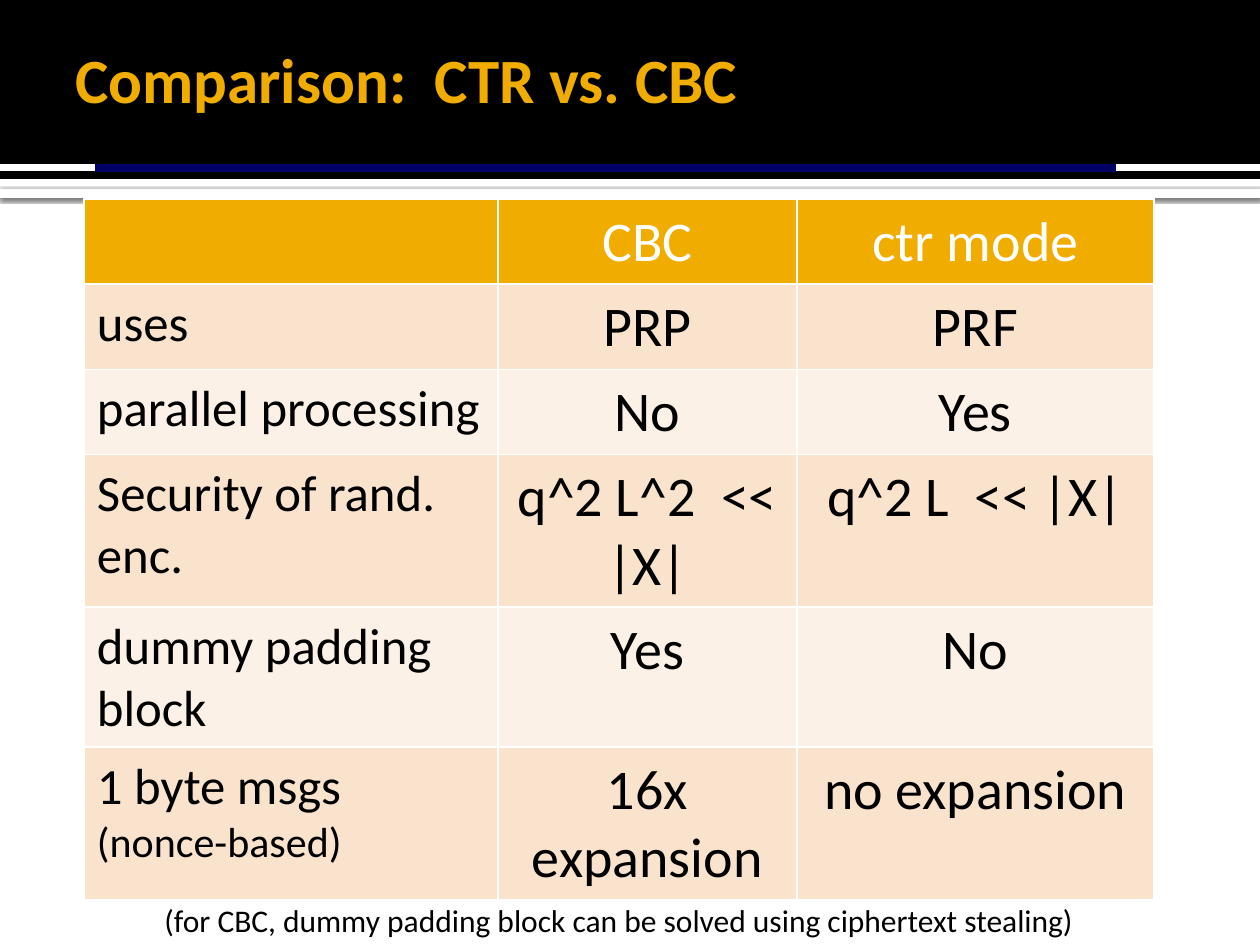
from lxml import etree
from pptx import Presentation
from pptx.dml.color import RGBColor
from pptx.enum.shapes import MSO_CONNECTOR, MSO_SHAPE
from pptx.enum.text import MSO_ANCHOR, MSO_AUTO_SIZE, PP_ALIGN
from pptx.oxml import parse_xml
from pptx.oxml.ns import nsdecls, qn
from pptx.util import Inches, Pt

STRAIGHT = MSO_CONNECTOR.STRAIGHT
RECTANGLE = MSO_SHAPE.RECTANGLE
MIDDLE = MSO_ANCHOR.MIDDLE
GROW = MSO_AUTO_SIZE.SHAPE_TO_FIT_TEXT
LEFT, CENTER = PP_ALIGN.LEFT, PP_ALIGN.CENTER
FONT = "Calibri"
COLORS = {
    "black": "000000",
    "white": "FFFFFF",
    "navy": "000066",
    "gold": "F0AD00",
    "band_dark": "F9E3CC",
    "band_light": "FCF1E7",
}
COLUMN_WIDTHS = [414, 299, 357]
ROW_HEIGHTS = [78, 78, 78, 140, 129, 140]
ROWS = [
    ([], "CBC", "ctr mode"),
    ([("uses", 29)], "PRP", "PRF"),
    ([("parallel processing", 29)], "No", "Yes"),
    ([("Security of rand. enc.", 29)], "q^2 L^2  << |X|", "q^2 L  << |X|"),
    ([("dummy padding block", 29)], "Yes", "No"),
    ([("1 byte msgs  ", 29), ("(nonce-based)", 24)], "16x expansion", "no expansion"),
]


def px(count):
    """Turn pixels into EMU."""
    return round(count * Inches(1) / 126)


def rgb(name):
    """Look up a named colour."""
    return RGBColor.from_string(COLORS[name])


def style_font(font, size, color, bold=False):
    """Set typeface, size, colour and weight."""
    font.name = FONT
    font.size = Pt(size)
    font.bold = bold
    font.color.rgb = rgb(color)


def add_bar(page, top, height, color):
    """Add a full-width borderless bar."""
    bar = page.shapes.add_shape(RECTANGLE, 0, px(top), px(1260), px(height))
    bar.shadow.inherit = False
    bar.fill.solid()
    bar.fill.fore_color.rgb = rgb(color)
    bar.line.fill.background()
    return bar


def add_soft_shadow(shape):
    """Give a shape a soft shadow below it."""
    effects = shape._element.spPr.find(qn("a:effectLst"))
    effects.append(parse_xml(
        f'<a:outerShdw {nsdecls("a")} blurRad="{Pt(2.5)}" dist="{Pt(0.8)}" '
        'dir="5400000" rotWithShape="0"><a:srgbClr val="000000">'
        '<a:alpha val="60000"/></a:srgbClr></a:outerShdw>'))


def add_rule(page, start, end, color, width):
    """Add a straight line between two points."""
    rule = page.shapes.add_connector(STRAIGHT, *map(px, start + end))
    rule.line.color.rgb = rgb(color)
    rule.line.width = Pt(width)
    etree.SubElement(rule._element.spPr, qn("a:effectLst"))


def add_text(page, place, text, size, color, bold=False):
    """Add a one-paragraph text box and return its frame."""
    frame = page.shapes.add_textbox(*map(px, place)).text_frame
    para = frame.paragraphs[0]
    para.text = text
    style_font(para.font, size, color, bold)
    return frame


def style_cell(cell, color):
    """Set margins, white borders and fill of a cell."""
    cell.margin_left = cell.margin_right = px(13)
    cell.margin_top = cell.margin_bottom = px(9)
    properties = cell._tc.get_or_add_tcPr()
    for side in "LRTB":
        properties.append(parse_xml(
            f'<a:ln{side} {nsdecls("a")} w="{Pt(1)}"><a:solidFill>'
            f'<a:srgbClr val="{COLORS["white"]}"/></a:solidFill></a:ln{side}>'))
    cell.fill.solid()
    cell.fill.fore_color.rgb = rgb(color)


def fill_cell(cell, pieces, color, align):
    """Write sized pieces of text into a cell."""
    para = cell.text_frame.paragraphs[0]
    para.alignment = align
    for text, size in pieces:
        span = para.add_run()
        span.text = text
        style_font(span.font, size, color)


def add_comparison(page):
    """Add the comparison table with banded rows."""
    place = (84, 199, sum(COLUMN_WIDTHS), sum(ROW_HEIGHTS))
    table = page.shapes.add_table(
        len(ROWS), len(COLUMN_WIDTHS), *map(px, place)).table
    table.first_row = table.horz_banding = False
    for column, width in zip(table.columns, COLUMN_WIDTHS):
        column.width = px(width)
    for index, (label, *values) in enumerate(ROWS):
        table.rows[index].height = px(ROW_HEIGHTS[index])
        band = "band_dark" if index % 2 else "band_light"
        fill, ink = (band, "black") if index else ("gold", "white")
        contents = [label] + [[(value, 32)] for value in values]
        for position, pieces in enumerate(contents):
            cell = table.cell(index, position)
            style_cell(cell, fill)
            fill_cell(cell, pieces, ink, CENTER if position else LEFT)


def main():
    """Build and save the slide."""
    deck = Presentation()
    deck.slide_width, deck.slide_height = px(1260), px(945)
    page = deck.slides.add_slide(deck.slide_layouts[6])
    add_soft_shadow(add_bar(page, 189, 9, "white"))
    add_bar(page, 0, 179, "black")
    add_rule(page, (0, 168), (1260, 168), "white", 4)
    add_rule(page, (95, 168), (1116, 168), "navy", 5)
    title = add_text(page, (63, 10, 1040, 136), "Comparison:  CTR vs. CBC",
                     36, "gold", True)
    title.word_wrap = True
    title.vertical_anchor = MIDDLE
    title.margin_right = px(6)
    add_comparison(page)
    note = add_text(
        page, (152, 895, 961, 50),
        "(for CBC, dummy padding block can be solved using ciphertext stealing)",
        18, "black")
    note.word_wrap = False
    note.auto_size = GROW
    deck.save("out.pptx")


if __name__ == "__main__":
    main()
